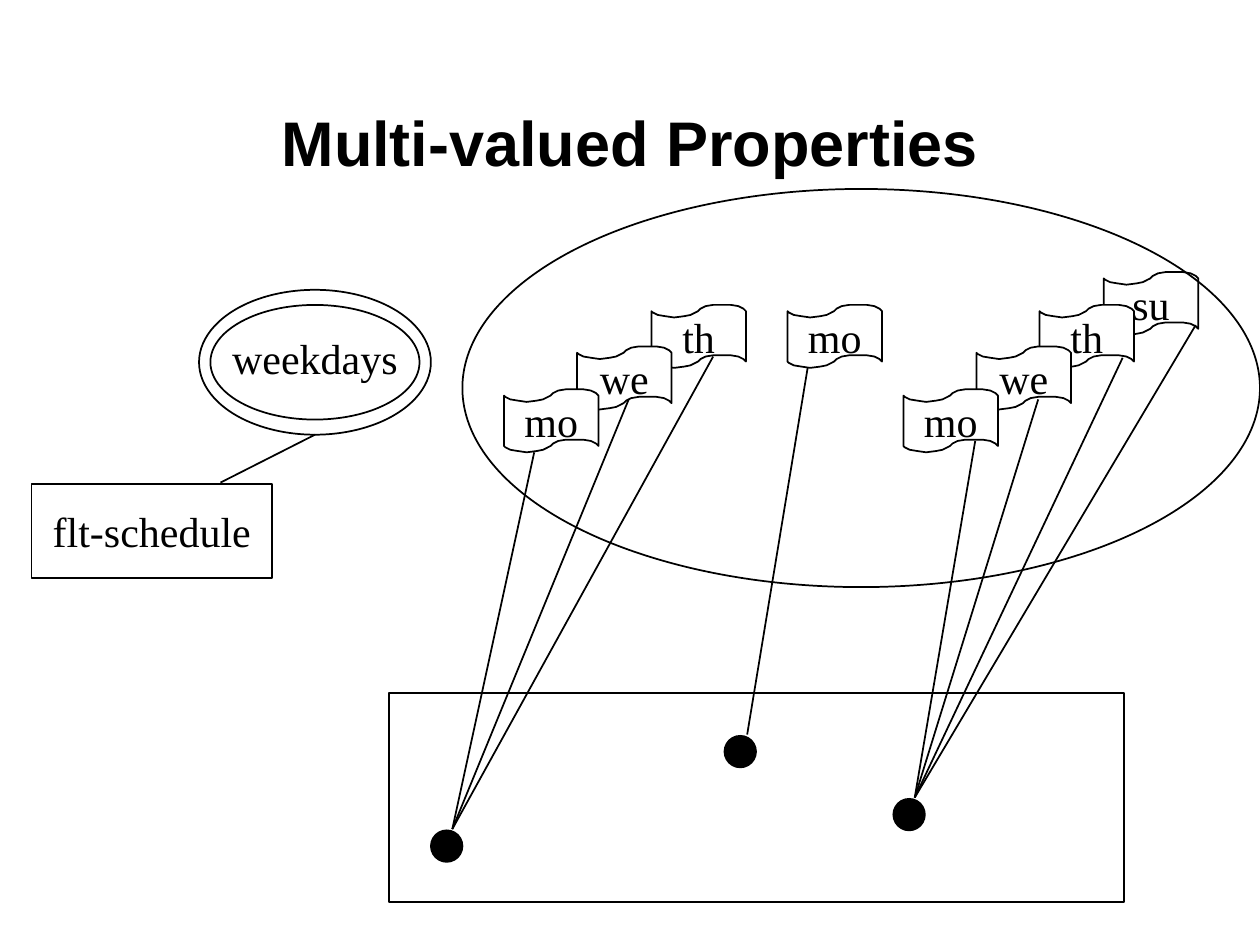
import pptx
import pptx.dml.color
import pptx.enum.shapes
import pptx.enum.text
import pptx.util
import lxml.etree

TITLE = "Multi-valued Properties"
BLACK, WHITE = "000000", "FFFFFF"
FLAG_HEIGHT = 0.4
WAVE = [(0, 0.05), (0.01, 0.06), (0.05, 0.08), (0.11, 0.09), (0.18, 0.1), (0.26, 0.09),
        (0.31, 0.08), (0.35, 0.06), (0.37, 0.05), (0.39, 0.03), (0.43, 0.01), (0.49, 0),
        (0.56, 0), (0.63, 0), (0.69, 0.01), (0.73, 0.03), (0.75, 0.05)]
FLAGS = [("su", 8.76, 2.16), ("th", 5.17, 2.42), ("we", 4.58, 2.75), ("mo", 4, 3.09),
         ("mo", 6.25, 2.42), ("th", 8.25, 2.42), ("we", 7.75, 2.75), ("mo", 7.17, 3.09)]
DOT_SIZE = 0.25
DOTS = [
    ((3.42, 6.59), (3.59, 6.58), [(4.24, 3.59), (4.99, 3.17), (5.66, 2.83)]),
    ((5.75, 5.84), (5.93, 5.83), [(6.41, 2.92)]),
    ((7.09, 6.34), (7.26, 6.33), [(7.74, 3.5), (8.24, 3.17), (8.91, 2.84), (9.49, 2.58)]),
]
OUTLINES = [
    ("RECTANGLE", (0.25, 3.84, 1.91, 0.75), "flt-schedule", 1),
    ("OVAL", (1.67, 2.42, 1.66, 0.91), "weekdays", 0.8),
    ("OVAL", (1.58, 2.3, 1.84, 1.15), "", 1),
    ("OVAL", (3.67, 1.5, 6.33, 3.16), "", 1),
    ("RECTANGLE", (3.09, 5.5, 5.83, 1.66), "", 1),
]
PROPERTY_LINE = ((2.5, 3.45), (1.75, 3.83))


def inches(values):
    return [pptx.util.Inches(v) for v in values]


def rgb(color):
    return pptx.dml.color.RGBColor.from_string(color)


def write(shape, text, font="Times New Roman", size=24, bold=False, spacing=1):
    tf = shape.text_frame
    tf.text = text
    tf.vertical_anchor = pptx.enum.text.MSO_ANCHOR.MIDDLE
    p = tf.paragraphs[0]
    p.alignment = pptx.enum.text.PP_ALIGN.CENTER
    p.line_spacing = spacing
    p.font.name, p.font.size, p.font.bold = font, pptx.util.Pt(size), bold
    p.font.color.rgb = rgb(BLACK)


def outline(shape):
    shape.line.color.rgb = rgb(BLACK)
    shape.line.width = pptx.util.Pt(1)


def style(shape, fill=None):
    shape.shadow.inherit = False
    outline(shape)
    if fill:
        shape.fill.solid()
        shape.fill.fore_color.rgb = rgb(fill)
    else:
        shape.fill.background()


def add_shape(s, kind, box, fill=None):
    preset = pptx.enum.shapes.MSO_SHAPE[kind]
    sp = s.shapes.add_shape(preset, *inches(box))
    style(sp, fill)
    return sp


def add_flag(s, text, left, top):
    upper = [(left + x, top + y) for x, y in WAVE]
    lower = [(x, y + FLAG_HEIGHT) for x, y in reversed(upper)]
    start, *rest = [inches(point) for point in upper + lower]
    builder = s.shapes.build_freeform(*start)
    builder.add_line_segments(rest, close=True)
    sp = builder.convert_to_shape()
    style(sp, WHITE)
    write(sp, text)
    sp.text_frame.word_wrap = False


def add_line(s, start, end):
    straight = pptx.enum.shapes.MSO_CONNECTOR.STRAIGHT
    line = s.shapes.add_connector(straight, *inches(start + end))
    outline(line)
    lxml.etree.SubElement(line._element.spPr, pptx.oxml.ns.qn("a:effectLst"))


def main():
    """Build the slide on multi-valued properties."""
    prs = pptx.Presentation()
    prs.slide_width, prs.slide_height = inches((10, 7.5))
    s = prs.slides.add_slide(prs.slide_layouts[5])
    title = s.shapes.title
    title.left, title.top, title.width, title.height = inches((0.75, 0.5, 8.5, 1.25))
    write(title, TITLE, "Arial", 36, True)

    for flag in FLAGS:
        add_flag(s, *flag)
    for corner, start, ends in DOTS:
        add_shape(s, "OVAL", corner + (DOT_SIZE, DOT_SIZE), BLACK)
        for end in ends:
            add_line(s, start, end)
    for kind, box, text, spacing in OUTLINES:
        sp = add_shape(s, kind, box)
        if text:
            write(sp, text, spacing=spacing)
            sp.text_frame.word_wrap = False
    add_line(s, *PROPERTY_LINE)
    prs.save("out.pptx")


if __name__ == "__main__":
    main()
